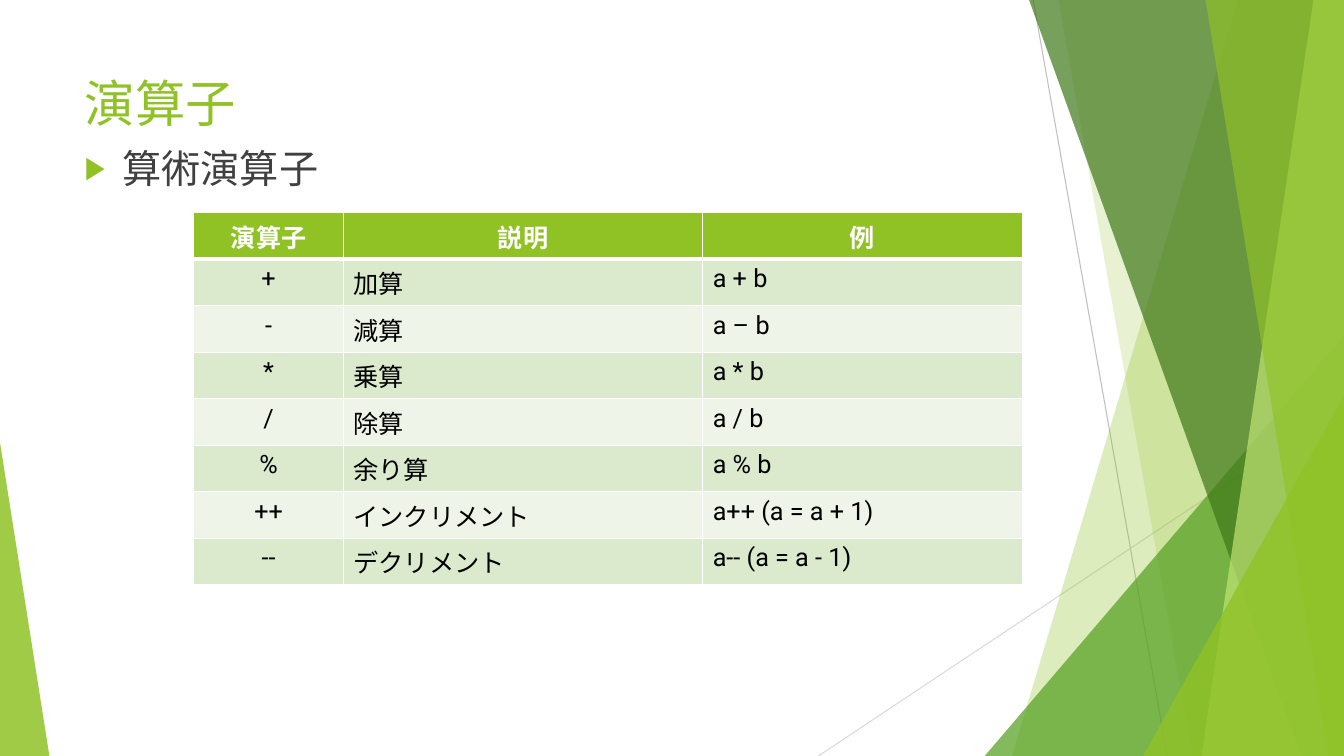
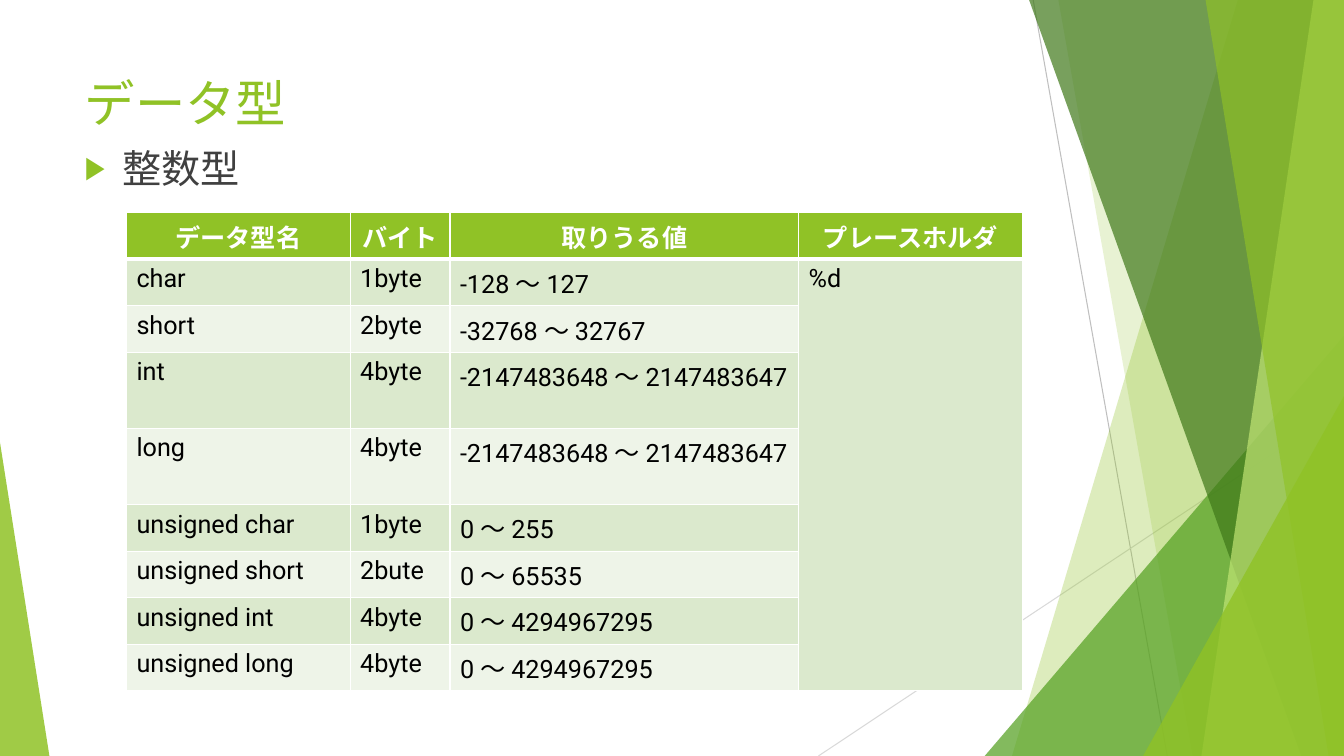
from dataclasses import dataclass

from lxml.etree import SubElement
from pptx import Presentation
from pptx.dml.color import RGBColor
from pptx.dml.fill import FillFormat
from pptx.enum.shapes import MSO_CONNECTOR, MSO_SHAPE
from pptx.enum.text import PP_ALIGN
from pptx.oxml.ns import qn
from pptx.shapes.autoshape import Shape
from pptx.slide import Slide
from pptx.table import _Cell as Cell
from pptx.text.text import _Paragraph as Para
from pptx.util import Pt

WIDE, HIGH = 960, 540
FONT = "Roboto"
LIME, WHITE, BLACK, GREY = "90C226", "FFFFFF", "000000", "404040"
BANDS = ("DBE9CD", "EEF4E8")
LEFT, SPAN = 53.4, 676.8
GRID_TOP = 152
ROW, DEEP = 33.25, 54.4  # rows of one and of two lines


@dataclass
class Ray:
    start: tuple[float, float]
    end: tuple[float, float]
    color: str


@dataclass
class Blade:
    """Full-height panel reaching the right edge, with a slanted left side."""
    top: float
    foot: float
    color: str
    alpha: int


@dataclass
class Wedge:
    """Right triangle standing on the bottom edge."""
    left: float
    top: float
    width: float
    peak: float
    color: str
    alpha: int


@dataclass
class Page:
    title: str
    topic: str
    left: float
    cols: list[float]
    rows: list[list[str]]
    mid: int = 0  # leading body columns that are centred
    tall: int | None = None  # column merged down the body


RAYS = [
    Ray((738, 0), (833.8, HIGH), "BFBFBF"),
    Ray((WIDE, 290.2), (584.6, HIGH), "D9D9D9"),
]
PANES = [
    Blade(884.2, 722.9, LIME, 30),
    Blade(756, 851.8, LIME, 20),
    Wedge(703.4, 239.8, 256.6, 1, "54A021", 72),
    Blade(735.1, 929.5, "3F7819", 70),
    Blade(938.2, 858.2, "C0E474", 70),
    Blade(861.1, 949, LIME, 65),
    Wedge(816.5, 283, 143.5, 1, LIME, 80),
    Wedge(0, 316.1, 35.3, 0, LIME, 85),
]
LONG = "-2147483648 ～ 2147483647"
PAGES = [
    Page("演算子", "算術演算子", 138.4, [107, 256.6, 228.2], [
        ["演算子", "説明", "例"],
        ["+", "加算", "a + b"],
        ["-", "減算", "a – b"],
        ["*", "乗算", "a * b"],
        ["/", "除算", "a / b"],
        ["%", "余り算", "a % b"],
        ["++", "インクリメント", "a++ (a = a + 1)"],
        ["--", "デクリメント", "a-- (a = a - 1)"],
    ], mid=1),
    Page("データ型", "整数型", 90.3, [159.8, 71.3, 249.1, 159.8], [
        ["データ型名", "バイト", "取りうる値", "プレースホルダ"],
        ["char", "1byte", "-128 ～ 127", "%d"],
        ["short", "2byte", "-32768 ～ 32767", ""],
        ["int", "4byte", LONG, ""],
        ["long", "4byte", LONG, ""],
        ["unsigned char", "1byte", "0 ～ 255", ""],
        ["unsigned short", "2bute", "0 ～ 65535", ""],
        ["unsigned int", "4byte", "0 ～ 4294967295", ""],
        ["unsigned long", "4byte", "0 ～ 4294967295", ""],
    ], tall=3),
]


def paint(fill: FillFormat, color: str) -> None:
    fill.solid()
    fill.fore_color.rgb = RGBColor.from_string(color)


def style(para: Para, size: float, color: str, bold: bool = False) -> None:
    font = para.font
    font.name, font.size, font.bold = FONT, Pt(size), bold
    paint(font.fill, color)


# Backdrop
def draw_ray(slide: Slide, ray: Ray) -> None:
    ends = [Pt(n) for n in (*ray.start, *ray.end)]
    line = slide.shapes.add_connector(MSO_CONNECTOR.STRAIGHT, *ends)
    line.line.width = Pt(0.75)
    paint(line.line.fill, ray.color)
    SubElement(line._element.spPr, qn("a:effectLst"))


def draw_pane(slide: Slide, pane: Blade | Wedge) -> None:
    shape: Shape
    if isinstance(pane, Blade):
        form = slide.shapes.build_freeform(Pt(pane.top), 0)
        form.add_line_segments([
            (Pt(WIDE), 0), (Pt(WIDE), Pt(HIGH)), (Pt(pane.foot), Pt(HIGH))])
        shape = form.convert_to_shape()
    else:
        shape = slide.shapes.add_shape(
            MSO_SHAPE.ISOSCELES_TRIANGLE, Pt(pane.left), Pt(pane.top),
            Pt(pane.width), Pt(HIGH - pane.top))
        shape.adjustments[0] = pane.peak
    shape.shadow.inherit = False
    shape.line.fill.background()
    paint(shape.fill, pane.color)
    tint = shape._element.spPr.find(qn("a:solidFill")).find(qn("a:srgbClr"))
    SubElement(tint, qn("a:alpha"), val=str(pane.alpha * 1000))


# Title and topic
def add_text(slide: Slide, text: str, top: float, high: float) -> Para:
    box = slide.shapes.add_textbox(Pt(LEFT), Pt(top), Pt(SPAN), Pt(high))
    box.text_frame.word_wrap = True
    para = box.text_frame.paragraphs[0]
    para.text = text
    return para


def add_bullet(para: Para) -> None:
    para.space_before = Pt(10)
    props = para._p.get_or_add_pPr()
    props.set("marL", str(Pt(27)))
    props.set("indent", str(-Pt(27)))
    SubElement(SubElement(props, qn("a:buClr")), qn("a:srgbClr"), val=LIME)
    SubElement(props, qn("a:buSzPct"), val="80000")
    SubElement(props, qn("a:buFont"), typeface="Arial")
    SubElement(props, qn("a:buChar"), char="▶")


# Table
def add_edges(cell: Cell, row: int) -> None:
    props = cell._tc.get_or_add_tcPr()
    sizes = {"L": 1, "R": 1, "T": 1, "B": 3 if row == 0 else 1}
    if row == 1:
        del sizes["T"]  # the header's lower edge shows here
    for side, size in sizes.items():
        edge = SubElement(props, qn(f"a:ln{side}"), w=str(Pt(size)))
        fill = SubElement(edge, qn("a:solidFill"))
        SubElement(fill, qn("a:srgbClr"), val=WHITE)


def add_grid(slide: Slide, page: Page) -> None:
    highs = [DEEP if LONG in texts else ROW for texts in page.rows]
    grid = slide.shapes.add_table(
        len(highs), len(page.cols), Pt(page.left), Pt(GRID_TOP),
        Pt(sum(page.cols)), Pt(sum(highs))).table
    for col, width in zip(grid.columns, page.cols):
        col.width = Pt(width)
    for r, texts in enumerate(page.rows):
        grid.rows[r].height = Pt(highs[r])
        head = r == 0
        for c, text in enumerate(texts):
            cell = grid.cell(r, c)
            add_edges(cell, r)
            band = 0 if c == page.tall else (r - 1) % 2
            paint(cell.fill, LIME if head else BANDS[band])
            para = cell.text_frame.paragraphs[0]
            para.text = text
            if head or c < page.mid:
                para.alignment = PP_ALIGN.CENTER
            style(para, 18, WHITE if head else BLACK, head)
    if page.tall is not None:
        grid.cell(1, page.tall).merge(grid.cell(len(highs) - 1, page.tall))


def build(slide: Slide, page: Page) -> None:
    for ray in RAYS:
        draw_ray(slide, ray)
    for pane in PANES:
        draw_pane(slide, pane)
    style(add_text(slide, page.title, 48, 104), 36, LIME)
    topic = add_text(slide, page.topic, 99.4, 376.6)
    add_bullet(topic)
    style(topic, 28, GREY)
    add_grid(slide, page)


def main() -> None:
    deck = Presentation()
    deck.slide_width, deck.slide_height = Pt(WIDE), Pt(HIGH)
    for page in PAGES:
        build(deck.slides.add_slide(deck.slide_layouts[6]), page)
    deck.save("out.pptx")


if __name__ == "__main__":
    main()
